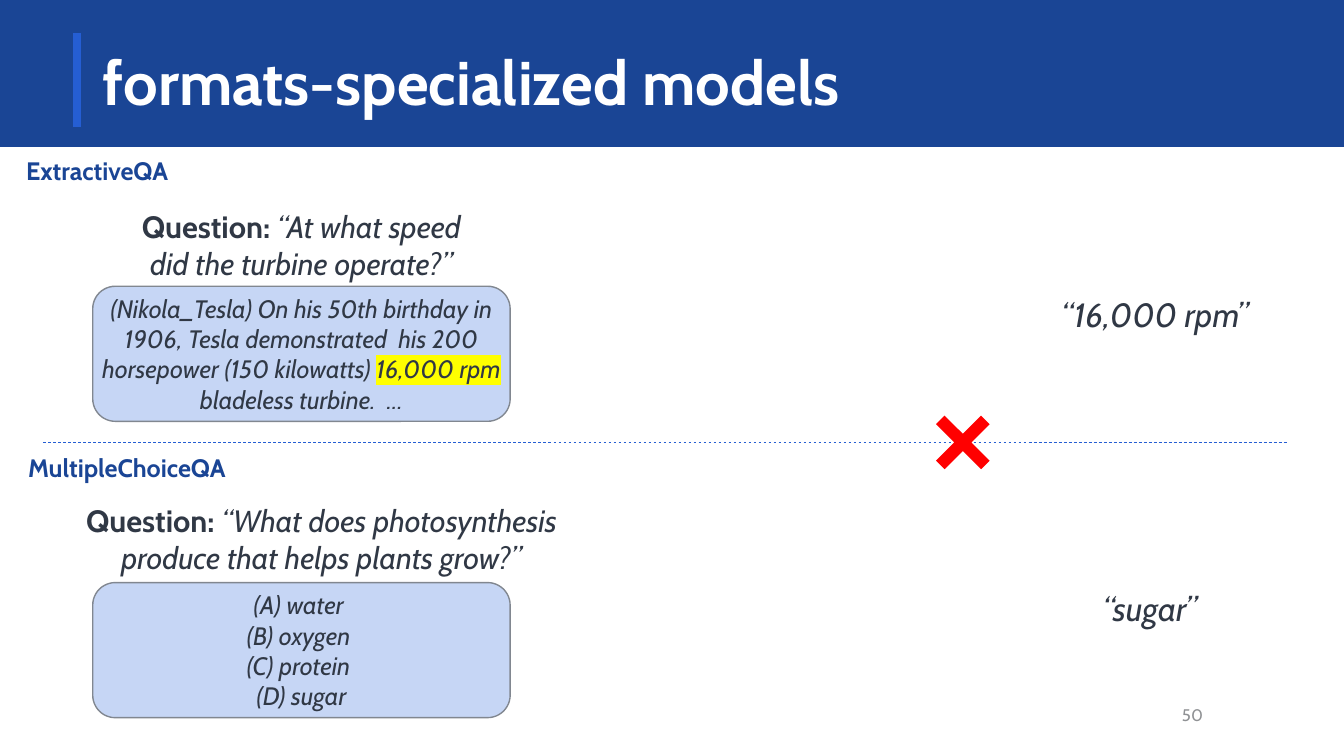
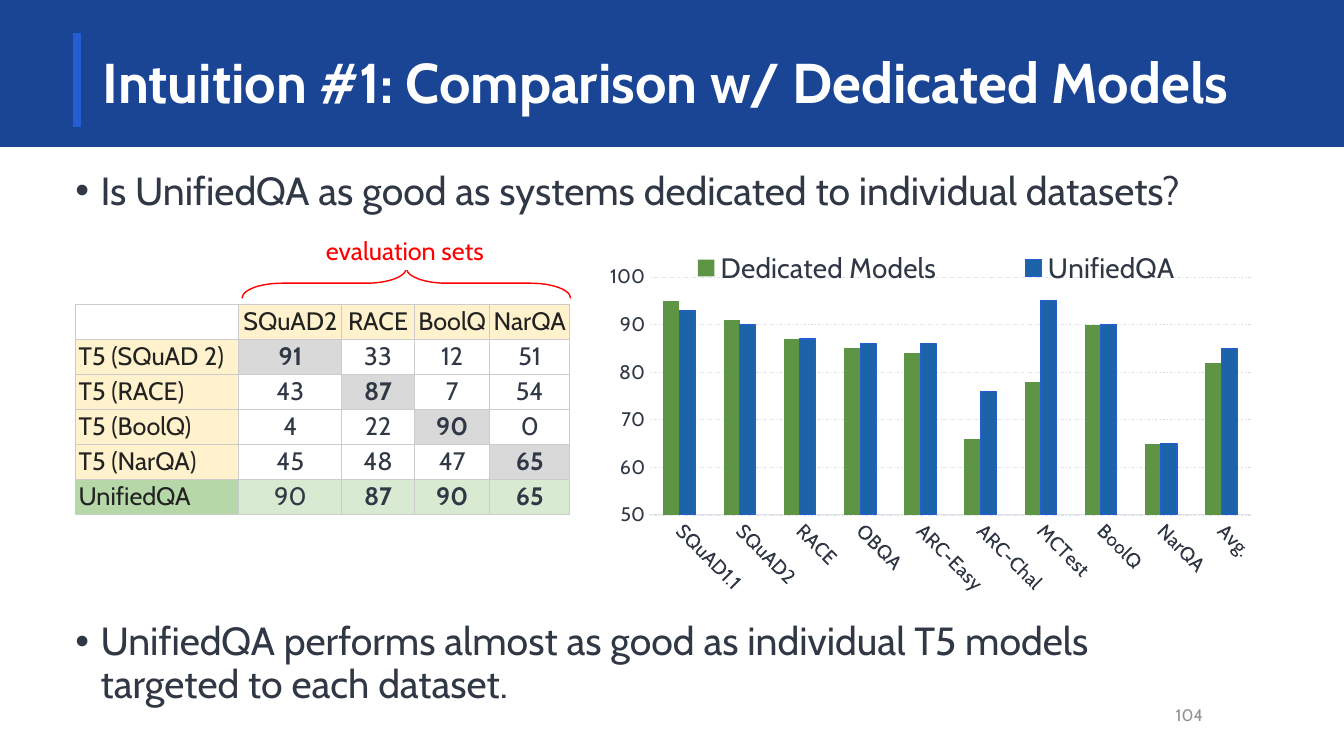
from dataclasses import dataclass

from pptx import Presentation
from pptx.chart.data import CategoryChartData
from pptx.dml.color import RGBColor
from pptx.enum.chart import XL_CHART_TYPE as ChartType, XL_LEGEND_POSITION as LegendPos, XL_TICK_MARK as Tick
from pptx.enum.dml import MSO_LINE as Dash
from pptx.enum.shapes import MSO_CONNECTOR as Connector, MSO_SHAPE as Shape
from pptx.enum.text import MSO_ANCHOR as Anchor, MSO_AUTO_SIZE as AutoSize, PP_ALIGN as Align
from pptx.oxml import parse_xml
from pptx.oxml.ns import nsdecls, qn
from pptx.util import Inches, Pt


@dataclass(frozen=True)
class Theme:
    font: str = "Cabin"
    navy: str = "1A4595"
    blue: str = "255ED3"
    ink: str = "303845"
    label: str = "222222"
    grey: str = "8F9194"
    white: str = "FFFFFF"
    red: str = "FF0000"
    marker: str = "FFFF00"
    card: str = "C6D6F5"
    card_edge: str = "818790"
    head: str = "FFF2CC"
    best: str = "D9D9D9"
    ours: str = "B6D7A8"
    ours_pale: str = "D9EAD3"
    cell_edge: str = "CCCCCC"
    axis: str = "DCE0E7"
    bar_green: str = "5D9544"
    bar_blue: str = "1C63AA"
    body_size: int = 28
    answer_size: int = 24
    question_size: int = 22
    legend_size: int = 20
    text_size: int = 18
    axis_size: int = 14
    number_size: int = 12


THEME = Theme()

# Content: boxes are (left, top, width, height) in inches
FORMATS = {
    "title": ("formats-specialized models", 44),
    "number": "50",
    "examples": [
        {
            "label": ("ExtractiveQA", (0.16, 1.49, 2.5, 0.4)),
            "question": ("“At what speed did the turbine operate?”", (1.14, 2.01, 3.7, 0.84)),
            "card": ([["(Nikola_Tesla) On his 50th birthday in 1906, Tesla demonstrated  his 200 "
                       "horsepower (150 kilowatts) ", "16,000 rpm", " bladeless turbine.  …"]],
                     (0.92, 2.84, 4.14, 1.34)),
            "answer": ("“16,000 rpm”", (10.38, 2.87, 2.15, 0.5)),
        },
        {
            "label": ("MultipleChoiceQA", (0.18, 4.44, 2.5, 0.4)),
            "question": ("“What does photosynthesis produce that helps plants grow?”", (0.69, 4.93, 5, 0.84)),
            "card": ([["(A) water "], ["(B) oxygen "], ["(C) protein "], ["(D) sugar"]],
                     (0.92, 5.78, 4.14, 1.34)),
            "answer": ("“sugar”", (10.33, 5.78, 2.15, 0.5)),
        },
    ],
}

COMPARISON = {
    "title": ("Intuition #1: Comparison w/ Dedicated Models", 40),
    "number": "104",
    "bullets": [
        ("Is UnifiedQA as good as systems dedicated to individual datasets?", (0.65, 1.65, 11.5, 0.6)),
        ("UnifiedQA performs almost as good as individual T5 models targeted to each dataset.",
         (0.65, 6.12, 11.5, 1)),
    ],
    "brace_label": "evaluation sets",
    "columns": [("", 1.62), ("SQuAD2", 1.02), ("RACE", 0.72), ("BoolQ", 0.75), ("NarQA", 0.79)],
    "scores": [
        ("T5 (SQuAD 2)", 91, 33, 12, 51),
        ("T5 (RACE)", 43, 87, 7, 54),
        ("T5 (BoolQ)", 4, 22, 90, 0),
        ("T5 (NarQA)", 45, 48, 47, 65),
        ("UnifiedQA", 90, 87, 90, 65),
    ],
    "categories": ["SQuAD1.1", "SQuAD2", "RACE", "OBQA", "ARC-Easy", "ARC-Chal", "MCTest", "BoolQ", "NarQA", "Avg."],
    "series": [  # name, fill, outline, values
        ("Dedicated Models", THEME.bar_green, None, (95, 91, 87, 85, 84, 66, 78, 90, 65, 82)),
        ("UnifiedQA", THEME.bar_blue, THEME.blue, (93, 90, 87, 86, 86, 76, 95, 90, 65, 85)),
    ],
}
CHART_BOX = (6.05, 2.38, 6.47, 3.81)
PLOT_BOX = (0.36, 0.37, 6, 2.36)  # inside the chart
LEGEND_BOX = (0.05, 0.09, 6.34, 0.38)  # inside the chart


# Shared helpers
def rgb(color):
    return RGBColor.from_string(color)


def inches(bounds):
    return [Inches(value) for value in bounds]


def style_font(font, size, color, bold=False, italic=False):
    font.name, font.size, font.bold, font.italic = THEME.font, Pt(size), bold, italic
    font.color.rgb = rgb(color)


def add_span(para, text, size, color=THEME.ink, **style):
    span = para.add_run()
    span.text = text
    style_font(span.font, size, color, **style)
    return span


def add_text(page, bounds, text, size, color=THEME.ink, align=Align.LEFT, **style):
    box = page.shapes.add_textbox(*inches(bounds))
    box.text_frame.word_wrap = True
    para = box.text_frame.paragraphs[0]
    para.alignment = align
    if text:
        add_span(para, text, size, color, **style)
    return box


def add_figure(page, kind, bounds, fill=None, line=None):
    shape = page.shapes.add_shape(kind, *inches(bounds))
    shape.shadow.inherit = False
    if fill:
        shape.fill.solid()
        shape.fill.fore_color.rgb = rgb(fill)
    else:
        shape.fill.background()
    if line:
        shape.line.color.rgb = rgb(line)
        shape.line.width = Pt(1)
    else:
        shape.line.fill.background()
    return shape


def prepare_layout(layout, page):
    """Put the title band and the title position on the layout."""
    band = add_figure(page, Shape.RECTANGLE, (0, 0, 13.33, 1.45), THEME.navy, THEME.navy)
    accent = add_figure(page, Shape.RECTANGLE, (0.72, 0.32, 0.09, 0.95), THEME.blue, THEME.navy)
    for position, shape in enumerate((band, accent), start=2):
        layout.shapes.element.insert(position, shape.element)
    title = layout.placeholders[0]
    title.left, title.top, title.width, title.height = inches((0.92, 0.32, 11.5, 1.05))


def fill_frame(page, content):
    """Set the title and the page number."""
    text, size = content["title"]
    frame = page.shapes.title.text_frame
    frame.text = text
    frame.auto_size = AutoSize.NONE
    frame.vertical_anchor = Anchor.MIDDLE
    para = frame.paragraphs[0]
    para.alignment, para.line_spacing = Align.LEFT, 0.9
    style_font(para.runs[0].font, size, THEME.white, bold=True)
    number = add_text(page, (11.45, 6.89, 0.58, 0.4), content["number"], THEME.number_size, THEME.grey, Align.RIGHT)
    number.text_frame.vertical_anchor = Anchor.MIDDLE


# Question formats
def add_card(page, lines, bounds):
    card = add_figure(page, Shape.FLOWCHART_ALTERNATE_PROCESS, bounds, THEME.card, THEME.card_edge)
    frame = card.text_frame
    frame.word_wrap = True
    frame.vertical_anchor = Anchor.MIDDLE
    frame.margin_left = frame.margin_right = frame.margin_top = frame.margin_bottom = 0
    para = frame.paragraphs[0]
    para.alignment = Align.CENTER
    for index, parts in enumerate(lines):
        if index:
            para.add_line_break()
        for order, part in enumerate(parts):
            span = add_span(para, part, THEME.text_size, italic=True)
            if order == 1:  # the answer inside the passage
                highlight = parse_xml(f'<a:highlight {nsdecls("a")}><a:srgbClr val="{THEME.marker}"/></a:highlight>')
                span._r.rPr.find(qn("a:solidFill")).addnext(highlight)


def build_formats(page):
    fill_frame(page, FORMATS)
    for example in FORMATS["examples"]:
        label, bounds = example["label"]
        add_text(page, bounds, label, THEME.text_size, THEME.navy, bold=True)
        question, bounds = example["question"]
        box = add_text(page, bounds, "Question: ", THEME.question_size, align=Align.CENTER, bold=True)
        add_span(box.text_frame.paragraphs[0], question, THEME.question_size, italic=True)
        add_card(page, *example["card"])
        answer, bounds = example["answer"]
        add_text(page, bounds, answer, THEME.answer_size, align=Align.CENTER, italic=True)

    divider = page.shapes.add_connector(Connector.STRAIGHT, *inches((0.43, 4.39, 12.76, 4.39)))
    divider.line.color.rgb = rgb(THEME.blue)
    divider.line.width = Pt(0.5)
    divider.line.dash_style = Dash.DASH
    divider.element.spPr.append(parse_xml(f'<a:effectLst {nsdecls("a")}/>'))
    cross = add_figure(page, Shape.MATH_MULTIPLY, (9.12, 3.96, 0.86, 0.86), THEME.red)
    cross.adjustments[0] = 0.14


# Comparison with dedicated models
def add_bullet(page, text, bounds):
    para = add_text(page, bounds, "", THEME.body_size).text_frame.paragraphs[0]
    props = para._p.get_or_add_pPr()
    props.set("marL", str(Inches(0.25)))
    props.set("indent", str(-Inches(0.25)))
    props.append(parse_xml(f'<a:buFont {nsdecls("a")} typeface="Arial"/>'))
    props.append(parse_xml(f'<a:buChar {nsdecls("a")} char="•"/>'))
    para.line_spacing = 0.9
    add_span(para, text, THEME.body_size)


def cell_fill(row, column, last_row):
    if row == 0:
        return THEME.head if column else THEME.white
    if row == last_row:
        return THEME.ours_pale if column else THEME.ours
    if column == 0:
        return THEME.head
    return THEME.best if row == column else THEME.white


def add_borders(cell):
    props = cell._tc.get_or_add_tcPr()
    for index, side in enumerate(("lnL", "lnR", "lnT", "lnB")):
        props.insert(index, parse_xml(
            f'<a:{side} {nsdecls("a")} w="{Pt(0.75)}"><a:solidFill>'
            f'<a:srgbClr val="{THEME.cell_edge}"/></a:solidFill></a:{side}>'))


def add_scores(page):
    names, widths = zip(*COMPARISON["columns"])
    rows = [names, *COMPARISON["scores"]]
    last_row = len(rows) - 1
    table = page.shapes.add_table(len(rows), len(names), *inches((0.75, 3.02, sum(widths), 2.08))).table
    table.first_row = table.horz_banding = False
    for column, width in zip(table.columns, widths):
        column.width = Inches(width)
    for r, values in enumerate(rows):
        for c, value in enumerate(values):
            cell = table.cell(r, c)
            cell.margin_left = cell.margin_right = Inches(0.03)
            cell.margin_top = cell.margin_bottom = Inches(0.02)
            cell.vertical_anchor = Anchor.BOTTOM
            cell.fill.solid()
            cell.fill.fore_color.rgb = rgb(cell_fill(r, c, last_row))
            add_borders(cell)
            para = cell.text_frame.paragraphs[0]
            para.alignment = Align.CENTER if c else Align.LEFT
            is_score = r > 0 and c > 0
            bold = is_score and (r == c or (r == last_row and c > 1))
            if value != "":
                add_span(para, str(value), THEME.text_size, THEME.ink if is_score else THEME.label, bold=bold)


def manual_layout(bounds, inner=False):
    target = '<c:layoutTarget val="inner"/>' if inner else ""
    modes = '<c:xMode val="edge"/><c:yMode val="edge"/>'
    shares = [value / whole for value, whole in zip(bounds, CHART_BOX[2:] * 2)]
    sizes = "".join(f'<c:{name} val="{share:.4f}"/>' for name, share in zip("xywh", shares))
    return parse_xml(f'<c:layout {nsdecls("c")}><c:manualLayout>{target}{modes}{sizes}</c:manualLayout></c:layout>')


def add_bars(page):
    data = CategoryChartData()
    data.categories = COMPARISON["categories"]
    for name, _, _, values in COMPARISON["series"]:
        data.add_series(name, values)
    chart = page.shapes.add_chart(ChartType.COLUMN_CLUSTERED, *inches(CHART_BOX), data).chart
    chart.has_title = False
    style_font(chart.font, 10, THEME.ink)
    plot = chart.plots[0]
    plot.gap_width, plot.overlap, plot.vary_by_categories = 175, 0, False
    for series, (_, fill, outline, _) in zip(plot.series, COMPARISON["series"]):
        series.format.fill.solid()
        series.format.fill.fore_color.rgb = rgb(fill)
        if outline:
            series.format.line.color.rgb = rgb(outline)
            series.format.line.width = Pt(0.75)

    scale = chart.value_axis
    for axis in (chart.category_axis, scale):
        axis.major_tick_mark = axis.minor_tick_mark = Tick.NONE
        style_font(axis.tick_labels.font, THEME.axis_size, THEME.ink)
    chart.category_axis.format.line.color.rgb = rgb(THEME.axis)
    scale.minimum_scale, scale.maximum_scale, scale.major_unit = 50, 100, 10
    scale.format.line.fill.background()
    grid = scale.major_gridlines.format.line
    grid.color.rgb, grid.width, grid.dash_style = rgb(THEME.axis), Pt(0.5), Dash.DASH_DOT

    chart.has_legend = True
    chart.legend.position = LegendPos.TOP
    chart.legend.include_in_layout = False
    style_font(chart.legend.font, THEME.legend_size, THEME.ink)

    # Slanted category names, fixed plot area and legend
    root = chart.element
    root.xpath(".//c:catAx/c:txPr/a:bodyPr")[0].set("rot", str(45 * 60000))
    area = root.xpath(".//c:plotArea")[0]
    for old in area.xpath("./c:layout"):
        area.remove(old)
    area.insert(0, manual_layout(PLOT_BOX, inner=True))
    root.xpath(".//c:legend/c:legendPos")[0].addnext(manual_layout(LEGEND_BOX))


def build_comparison(page):
    fill_frame(page, COMPARISON)
    for bullet in COMPARISON["bullets"]:
        add_bullet(page, *bullet)
    add_scores(page)
    add_bars(page)
    brace = add_figure(page, Shape.LEFT_BRACE, (3.88, 1.18, 0.3, 3.26), line=THEME.red)
    brace.rotation = 90
    brace.adjustments[0] = 1.32
    label = add_figure(page, Shape.RECTANGLE, (2.44, 2.28, 3.15, 0.4), THEME.white)
    para = label.text_frame.paragraphs[0]
    para.alignment = Align.CENTER
    add_span(para, COMPARISON["brace_label"], THEME.text_size, THEME.red)


def main():
    deck = Presentation()
    deck.slide_width, deck.slide_height = Inches(13.33), Inches(7.5)
    layout = deck.slide_layouts[5]
    pages = [deck.slides.add_slide(layout) for _ in range(2)]
    prepare_layout(layout, pages[0])
    for page, build in zip(pages, (build_formats, build_comparison)):
        build(page)
    deck.save("out.pptx")


if __name__ == "__main__":
    main()
